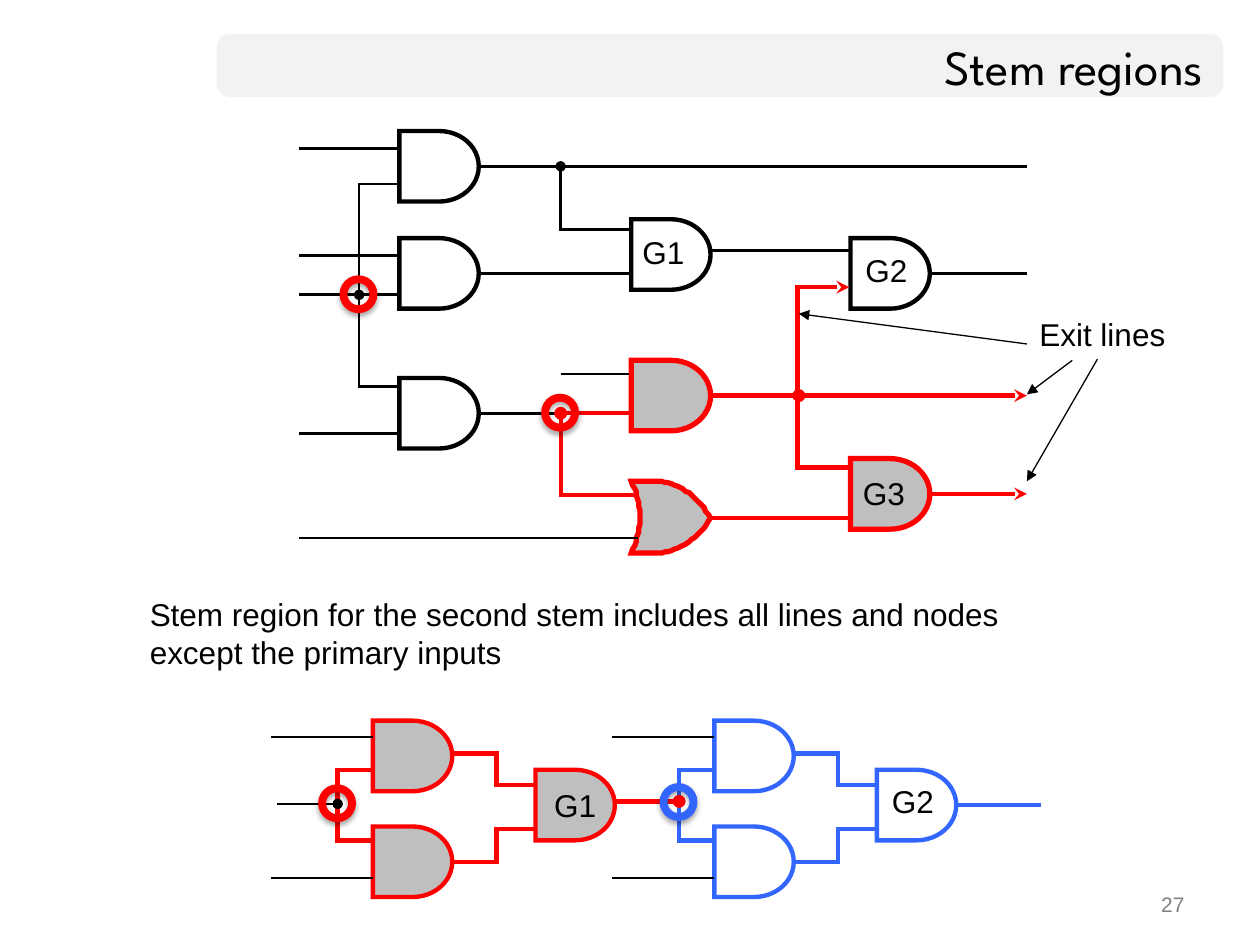
"""Build the slide on stem regions in a logic circuit."""
from lxml.etree import SubElement
from pptx import Presentation
from pptx.dml.color import RGBColor
from pptx.enum.shapes import MSO_CONNECTOR, MSO_SHAPE as Shape
from pptx.enum.text import MSO_ANCHOR as Anchor, PP_ALIGN as Align
from pptx.oxml.ns import qn
from pptx.util import Inches, Pt

BLACK = RGBColor(0, 0, 0)
WHITE = RGBColor(255, 255, 255)
RED = RGBColor(255, 0, 0)
BLUE = RGBColor(0x33, 0x66, 0xFF)
SILVER = RGBColor(0xBF, 0xBF, 0xBF)
PALE = RGBColor(0xF2, 0xF2, 0xF2)
GRAY = RGBColor(0x80, 0x80, 0x80)

deck = Presentation()
deck.slide_width, deck.slide_height = Inches(10), Inches(7.5)
page = deck.slides.add_slide(deck.slide_layouts[6])
CELL = deck.slide_width // 1000
GATE_WIDTH, GATE_HEIGHT, RING = 63, 56, 29


def draw_wire(points, color=BLACK, width=1.5, head=None, tail=None, gate=None):
    start, *rest = points
    if len(rest) == 1:
        ends = [CELL * value for point in points for value in point]
        wire = page.shapes.add_connector(MSO_CONNECTOR.STRAIGHT, *ends)
        if gate is not None:
            wire.begin_connect(gate, 3)
    else:
        outline = page.shapes.build_freeform(*start, scale=CELL)
        outline.add_line_segments(rest, close=False)
        wire = outline.convert_to_shape()
        wire.fill.background()
    wire.line.color.rgb = color
    wire.line.width = Pt(width)
    line = wire.line._get_or_add_ln()
    SubElement(line, qn("a:miter"), lim="800000")
    for tag, kind in (("a:headEnd", head), ("a:tailEnd", tail)):
        if kind:
            SubElement(line, qn(tag), type=kind)
    SubElement(wire._element.spPr, qn("a:effectLst"))


def write_text(text, left, top, width, height, color=BLACK, wrap=False,
               align=Align.LEFT, size=18, name="Arial"):
    box = page.shapes.add_textbox(*(CELL * value for value in (left, top, width, height)))
    frame = box.text_frame
    frame.word_wrap = wrap
    frame.vertical_anchor = Anchor.MIDDLE
    para = frame.paragraphs[0]
    para.alignment = align
    span = para.add_run()
    span.text = text
    for key, value in {"size": Pt(size), "name": name}.items():
        setattr(span.font, key, value)
    span.font.color.rgb = color


banner = page.shapes.add_shape(Shape.ROUNDED_RECTANGLE, *(CELL * value for value in (172, 27, 799, 50)))
banner.adjustments[0] = 0.21
banner.fill.solid()
banner.fill.fore_color.rgb = PALE
banner.line.fill.background()
banner.shadow.inherit = False
write_text("Stem regions", 172, 27, 793, 50, align=Align.RIGHT, size=28, name="League Spartan")

stages = [(0, RED, SILVER), (271, BLUE, WHITE)]
gate_rows = [
    ("top", 317, 104, BLACK, WHITE, 2.5),
    ("middle", 317, 189, BLACK, WHITE, 2.5),
    ("bottom", 317, 300, BLACK, WHITE, 2.5),
    ("G1", 501, 174, BLACK, WHITE, 2.5),
    ("G2", 675, 189, BLACK, WHITE, 2.5),
    ("region", 501, 286, RED, SILVER, 3),
    ("G3", 675, 364, RED, SILVER, 3),
]
for shift, color, fill in stages:
    for part, left, top in (("upper", 296, 572), ("lower", 296, 656), ("merge", 425, 611)):
        gate_rows.append((f"{part} {shift}", left + shift, top, color, fill, 2.5))

gates = {}
for key, left, top, color, fill, width in gate_rows:
    gates[key] = page.shapes.add_shape(
        Shape.FLOWCHART_DELAY, CELL * left, CELL * top, CELL * GATE_WIDTH, CELL * GATE_HEIGHT)

upper_curve = [(520, 382), (547, 383), (564, 411)]
lower_curve = [(564, 411), (547, 438), (520, 439)]
back_curve = [(501, 439), (515, 410), (501, 382)]
or_points = []
for (x0, y0), (x1, y1), (x2, y2) in (upper_curve, lower_curve, back_curve):
    for step in range(21):
        t = step / 20
        near, middle, far = (1 - t) ** 2, 2 * t * (1 - t), t ** 2
        or_points.append((near * x0 + middle * x1 + far * x2, near * y0 + middle * y1 + far * y2))
or_outline = page.shapes.build_freeform(*or_points[0], scale=CELL)
or_outline.add_line_segments(or_points[1:], close=True)
gates["or"] = or_outline.convert_to_shape()
gate_rows.append(("or", 501, 382, RED, SILVER, 3))

for key, left, top, color, fill, width in gate_rows:
    gate = gates[key]
    gate.shadow.inherit = False
    gate.fill.solid()
    gate.fill.fore_color.rgb = fill
    gate.line.color.rgb = color
    gate.line.width = Pt(width)
    SubElement(gate.line._get_or_add_ln(), qn("a:miter"), lim="800000")

for row, right in ((118, 317), (203, 317), (344, 317), (427, 506)):
    draw_wire([(237, row), (right, row)])
draw_wire([(237, 234), (285, 234)], tail="oval")
draw_wire([(285, 234), (317, 234)])
draw_wire([(317, 146), (285, 146), (285, 307), (317, 307)])
draw_wire([(380, 132), (815, 132)], gate=gates["top"])
draw_wire([(501, 182), (445, 182), (445, 132)], tail="oval")
draw_wire([(380, 217), (501, 217)], gate=gates["middle"])
draw_wire([(564, 199), (675, 199)])
draw_wire([(738, 217), (815, 217)], gate=gates["G2"])
draw_wire([(380, 328), (445, 328)], gate=gates["bottom"])
draw_wire([(445, 297), (499, 297)])

thick = {"color": RED, "width": 2.5}
draw_wire([(445, 328), (501, 328)], **thick)
draw_wire([(506, 393), (445, 393), (445, 328)], tail="oval", **thick)
draw_wire([(564, 314), (634, 314)], tail="oval", gate=gates["region"], **thick)
draw_wire([(634, 314), (815, 314)], tail="stealth", **thick)
draw_wire([(674, 228), (633, 228), (633, 371), (675, 371)], head="stealth", **thick)
draw_wire([(564, 411), (675, 411)], **thick)
draw_wire([(738, 392), (815, 392)], tail="stealth", gate=gates["G3"], **thick)
for start, end in (((871, 285), (815, 382)), ((851, 286), (815, 313)), ((815, 273), (634, 249))):
    draw_wire([start, end], width=0.75, tail="triangle")

for shift, color, fill in stages:
    stem, join, merge = 268 + shift, 394 + shift, 425 + shift
    draw_wire([(296 + shift, 611), (stem, 611), (stem, 667), (296 + shift, 667)], color, 2.5)
    for outer, inner in ((598, 623), (684, 658)):
        draw_wire([(359 + shift, outer), (join, outer), (join, inner), (merge, inner)], color, 2.5)
    for row in (585, 697):
        draw_wire([(215 + shift, row), (296 + shift, row)])
draw_wire([(220, 638), (268, 638)], tail="oval")
draw_wire([(488, 636), (539, 636)], tail="oval", **thick)
draw_wire([(759, 639), (826, 639)], BLUE, 2.5, gate=gates["merge 271"])

for left, top, color in ((270, 219, RED), (430, 313, RED), (253, 623, RED), (524, 622, BLUE)):
    ring = page.shapes.add_shape(Shape.DONUT, *(CELL * value for value in (left, top, RING, RING)))
    ring.adjustments[0] = 0.18
    ring.fill.solid()
    ring.fill.fore_color.rgb = color
    ring.line.color.rgb = color
    ring.line.width = Pt(0.75)
    ring.shadow.inherit = False
    effects = ring._element.spPr.find(qn("a:effectLst"))
    shadow = SubElement(effects, qn("a:outerShdw"), blurRad=str(Pt(3.1)), dist=str(Pt(1.8)),
                        dir="5400000", rotWithShape="0")
    shade = SubElement(shadow, qn("a:srgbClr"), val=str(BLACK))
    SubElement(shade, qn("a:alpha"), val="35000")

for text, left, top in (("G1", 500, 180), ("G2", 677, 194), ("G3", 675, 371),
                        ("G1", 430, 619), ("G2", 698, 616)):
    write_text(text, left, top, 54, 40)
write_text("Exit lines", 815, 245, 121, 40)
write_text("Stem region for the second stem includes all lines and nodes except the primary inputs",
           109, 467, 701, 71, wrap=True)
write_text("27", 717, 700, 233, 35, GRAY, align=Align.RIGHT, size=12)

deck.save("out.pptx")
